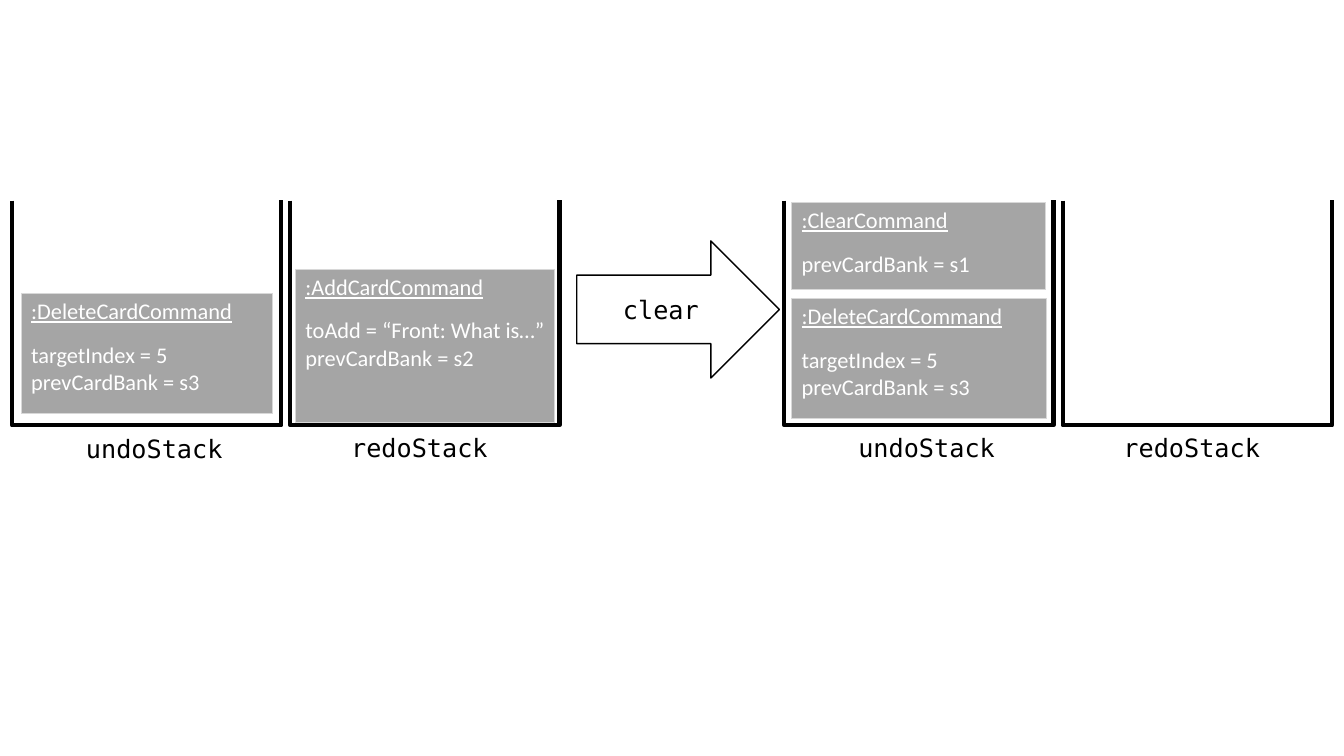
from dataclasses import dataclass
from lxml.etree import SubElement
from pptx import Presentation
from pptx.dml.color import RGBColor
from pptx.enum.shapes import MSO_SHAPE
from pptx.enum.text import MSO_ANCHOR, MSO_AUTO_SIZE, PP_ALIGN
from pptx.oxml.ns import qn
from pptx.util import Inches, Pt


@dataclass(frozen=True)
class Theme:
    ink: str = "000000"
    paper: str = "FFFFFF"
    card: str = "A5A5A5"
    edge: str = "D8D8D8"
    sans: str = "Calibri"
    mono: str = "DejaVu Sans Mono"
    body: int = 16
    label: int = 18


def write(frame, lines, font, size, color, align=PP_ALIGN.LEFT, under=False):
    """Fill a text frame with one paragraph per line."""
    frame.word_wrap = True
    for i, line in enumerate(lines):
        para = frame.paragraphs[0] if i == 0 else frame.add_paragraph()
        para.alignment = align
        run = para.add_run()
        run.text = line
        run.font.name = font
        run.font.size = Pt(size)
        run.font.underline = under
        run.font.color.rgb = RGBColor.from_string(color)


class Board:
    def __init__(self, slide, theme):
        self.shapes = slide.shapes
        self.theme = theme

    def border(self, cell, sides):
        """Draw the named sides of a cell and clear the others."""
        props = cell._tc.get_or_add_tcPr()
        for side in "LRTB":
            line = SubElement(props, qn(f"a:ln{side}"), w=str(Pt(0.5)))
            if side in sides:
                fill = SubElement(line, qn("a:solidFill"))
                SubElement(fill, qn("a:srgbClr"), val=self.theme.edge)
            else:
                SubElement(line, qn("a:noFill"))

    def card(self, x, y, width, depth, title, fields):
        """Object card: underlined title row over a row of fields."""
        look = self.theme
        rows = (0.43, depth)
        table = self.shapes.add_table(
            2, 1, Inches(x), Inches(y), Inches(width), Inches(sum(rows))).table
        table.first_row = table.horz_banding = False
        parts = zip(rows, ([title], fields), ("LRT", "LRB"), (True, False))
        for i, (high, lines, sides, under) in enumerate(parts):
            table.rows[i].height = Inches(high)
            cell = table.cell(i, 0)
            self.border(cell, sides)
            cell.fill.solid()
            cell.fill.fore_color.rgb = RGBColor.from_string(look.card)
            write(cell.text_frame, lines, look.sans, look.body, look.paper,
                  under=under)

    def outline(self, shape, width):
        shape.shadow.inherit = False
        shape.line.color.rgb = RGBColor.from_string(self.theme.ink)
        shape.line.width = Pt(width)

    def stack(self, x):
        """Open-topped container."""
        left, right, base = Inches(x), Inches(x + 2.67), Inches(4.22)
        path = self.shapes.build_freeform(left, Inches(1.99))
        path.add_line_segments(
            [(left, base), (right, base), (right, Inches(1.98))], close=False)
        shape = path.convert_to_shape()
        shape.fill.background()
        self.outline(shape, 3)

    def mono(self, frame, text):
        look = self.theme
        write(frame, [text], look.mono, look.label, look.ink, PP_ALIGN.CENTER)

    def label(self, x, y, text):
        box = self.shapes.add_textbox(
            Inches(x), Inches(y), Inches(2.5), Inches(0.4))
        self.mono(box.text_frame, text)
        box.text_frame.auto_size = MSO_AUTO_SIZE.SHAPE_TO_FIT_TEXT

    def arrow(self, x, y, width, height, text):
        shape = self.shapes.add_shape(
            MSO_SHAPE.RIGHT_ARROW,
            Inches(x), Inches(y), Inches(width), Inches(height))
        shape.fill.solid()
        shape.fill.fore_color.rgb = RGBColor.from_string(self.theme.paper)
        self.outline(shape, 1)
        self.mono(shape.text_frame, text)
        shape.text_frame.vertical_anchor = MSO_ANCHOR.MIDDLE


deck = Presentation()
deck.slide_width, deck.slide_height = Inches(13.33), Inches(7.5)
board = Board(deck.slides.add_slide(deck.slide_layouts[6]), Theme())

# Command cards
erase = (":DeleteCardCommand", ["targetIndex = 5", "prevCardBank = s3"])
board.card(7.85, 2.01, 2.52, 0.43, ":ClearCommand", ["prevCardBank = s1"])
board.card(7.85, 2.96, 2.53, 0.76, *erase)
board.card(2.93, 2.67, 2.57, 1.09, ":AddCardCommand",
           ["toAdd = “Front: What is…”", "prevCardBank = s2"])
board.card(0.21, 2.91, 2.49, 0.76, *erase)

# Stacks before and after, with their names
for start, drop in ((0.12, 4.25), (7.78, 4.24)):
    board.stack(start)
    board.stack(start + 2.76)
    board.label(start + 0.16, drop, "undoStack")
    board.label(start + 2.79, 4.24, "redoStack")

# Step between the two states
board.arrow(5.72, 2.39, 2.01, 1.36, "clear")

deck.save("out.pptx")
